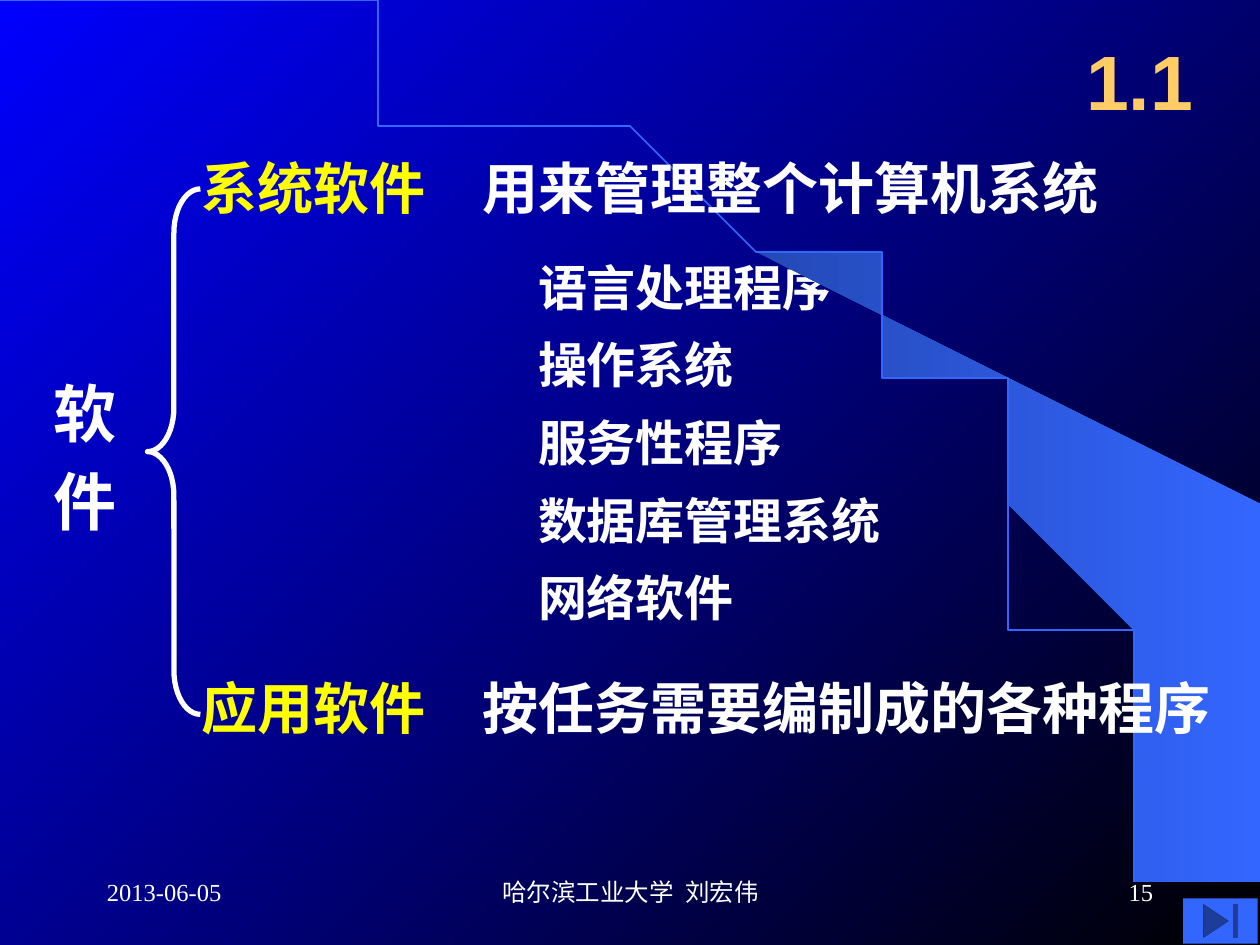
import math
from dataclasses import dataclass

import pptx
import pptx.dml.color
import pptx.enum.shapes
import pptx.enum.text
import pptx.oxml
import pptx.util

Inches = pptx.util.Inches
Pt = pptx.util.Pt
RGB = pptx.dml.color.RGBColor.from_string
SHAPE = pptx.enum.shapes.MSO_SHAPE
ALIGN = pptx.enum.text.PP_ALIGN
ANCHOR = pptx.enum.text.MSO_ANCHOR


@dataclass
class Theme:
    white: str = "FFFFFF"
    yellow: str = "FFFF00"
    gold: str = "FFCC66"
    blue: str = "3366FF"
    ribbon_dark: str = "2449B6"
    bg_start: str = "0000FF"
    bg_end: str = "000000"
    body_font: str = "Times New Roman"
    title_font: str = "Arial"
    title_size: int = 44
    root_size: int = 36
    branch_size: int = 32
    item_size: int = 28
    footer_size: int = 14


class SlideBuilder:
    def __init__(self, slide, theme):
        self.s = slide
        self.theme = theme

    def gradient(self, fill, colors, angle):
        fill.gradient()
        fill.gradient_angle = angle
        for stop, color in zip(fill.gradient_stops, colors):
            stop.color.rgb = RGB(color)

    def place(self, sp, left, top, width, height):
        sp.left, sp.top = Inches(left), Inches(top)
        sp.width, sp.height = Inches(width), Inches(height)

    def set_text(self, sp, lines, size, color=None, bold=True, font=None,
                 align=ALIGN.LEFT, anchor=ANCHOR.TOP, spacing=None, inset=0.1):
        tf = sp.text_frame
        tf.word_wrap = True
        tf.auto_size = pptx.enum.text.MSO_AUTO_SIZE.NONE
        tf.vertical_anchor = anchor
        tf.margin_left, tf.margin_right = Inches(inset), Inches(0.1)
        tf.margin_top = tf.margin_bottom = Inches(0.05)
        tf.text = "\n".join(lines)
        for p in tf.paragraphs:
            p.alignment = align
            p.space_before = Pt(0)
            if spacing:
                p.line_spacing = Pt(spacing)
            p.font.name = font or self.theme.body_font
            p.font.size = Pt(size)
            p.font.bold = bold
            p.font.color.rgb = RGB(color or self.theme.white)

    def text(self, box, lines, size, **style):
        sp = self.s.shapes.add_textbox(*map(Inches, box))
        self.set_text(sp, lines, size, **style)

    def title(self, box, text):
        sp = self.s.shapes.title
        self.place(sp, *box)
        self.set_text(sp, [text], self.theme.title_size, color=self.theme.gold,
                      font=self.theme.title_font, align=ALIGN.CENTER,
                      anchor=ANCHOR.MIDDLE)

    def plain_list(self, box, items, spacing):
        """Fill the body placeholder with unbulleted, evenly spaced items."""
        sp = self.s.placeholders[1]
        self.place(sp, *box)
        self.set_text(sp, items, self.theme.item_size, spacing=spacing)
        for p in sp.text_frame.paragraphs:
            pPr = p._p.get_or_add_pPr()
            pPr.set("marL", "0")
            pPr.set("indent", "0")
            # Bullets must come before the default run properties.
            pPr.insert_element_before(pptx.oxml.parse_xml(
                '<a:buNone xmlns:a="http://schemas.openxmlformats.org/'
                'drawingml/2006/main"/>'), "a:defRPr")

    def shape(self, kind, box, fill=None, line=None, width=1):
        sp = self.s.shapes.add_shape(kind, *map(Inches, box))
        return self.finish(sp, fill, line, width)

    def outline(self, points, close, fill=None, line=None, width=1):
        fb = self.s.shapes.build_freeform(*points[0], scale=Inches(1))
        fb.add_line_segments(points[1:], close=close)
        return self.finish(fb.convert_to_shape(), fill, line, width)

    def finish(self, sp, fill, line, width):
        sp.shadow.inherit = False
        if fill:
            sp.fill.solid()
            sp.fill.fore_color.rgb = RGB(fill)
        else:
            sp.fill.background()
        if line:
            sp.line.color.rgb = RGB(line)
            sp.line.width = Pt(width)
        else:
            sp.line.fill.background()
        return sp


def arc_points(start, end, steps):
    """Points on the quarter ellipse from the top left corner to the bottom."""
    rx, ry = 9.2, 7.49
    angles = [math.radians(start + (end - start) * i / steps)
              for i in range(steps + 1)]
    return [(rx * math.sin(a), ry * (1 - math.cos(a))) for a in angles]


def main():
    theme = Theme()
    prs = pptx.Presentation()
    prs.slide_width, prs.slide_height = Inches(10), Inches(7.5)
    s = prs.slides.add_slide(prs.slide_layouts[1])
    b = SlideBuilder(s, theme)

    b.gradient(s.background.fill, (theme.bg_start, theme.bg_end), 315)
    ribbon = b.outline([(9.99, 7.49), (9.99, 4.23), (5.89, 1.73)]
                       + arc_points(42, 90, 30), close=True)
    b.gradient(ribbon.fill, (theme.ribbon_dark, theme.blue), 0)
    b.outline(arc_points(0, 90, 90), close=False, line=theme.blue)

    b.title((8.42, 0.17, 1.25, 0.92), "1.1")
    b.text((0.33, 2.83, 0.7, 1.42), ["软", "件"], theme.root_size, spacing=50)
    brace = b.shape(SHAPE.LEFT_BRACE, (1.17, 1.5, 0.42, 4.17),
                    line=theme.white, width=3)
    brace.adjustments[0] = 0.83

    branches = [(1.17, "系统软件", "用来管理整个计算机系统"),
                (5.3, "应用软件", "按任务需要编制成的各种程序")]
    for top, name, meaning in branches:
        b.text((1.5, top, 2.5, 0.63), [name], theme.branch_size,
               color=theme.yellow)
        b.text((3.83, top, 7.01, 0.63), [meaning], theme.branch_size, inset=0)

    b.plain_list((4.17, 1.84, 3.5, 3.2),
                 ["语言处理程序", "操作系统", "服务性程序",
                  "数据库管理系统", "网络软件"], spacing=44.4)

    b.shape(SHAPE.ACTION_BUTTON_END, (9.39, 7.13, 0.59, 0.36), fill=theme.blue)
    footers = [(0.75, 2.08, "2013-06-05", ALIGN.LEFT),
               (3.42, 3.17, "哈尔滨工业大学  刘宏伟", ALIGN.CENTER),
               (7.17, 2.08, "15", ALIGN.RIGHT)]
    for left, width, text, align in footers:
        b.text((left, 6.83, width, 0.5), [text], theme.footer_size,
               bold=False, align=align, anchor=ANCHOR.MIDDLE)

    prs.save("out.pptx")


if __name__ == "__main__":
    main()
